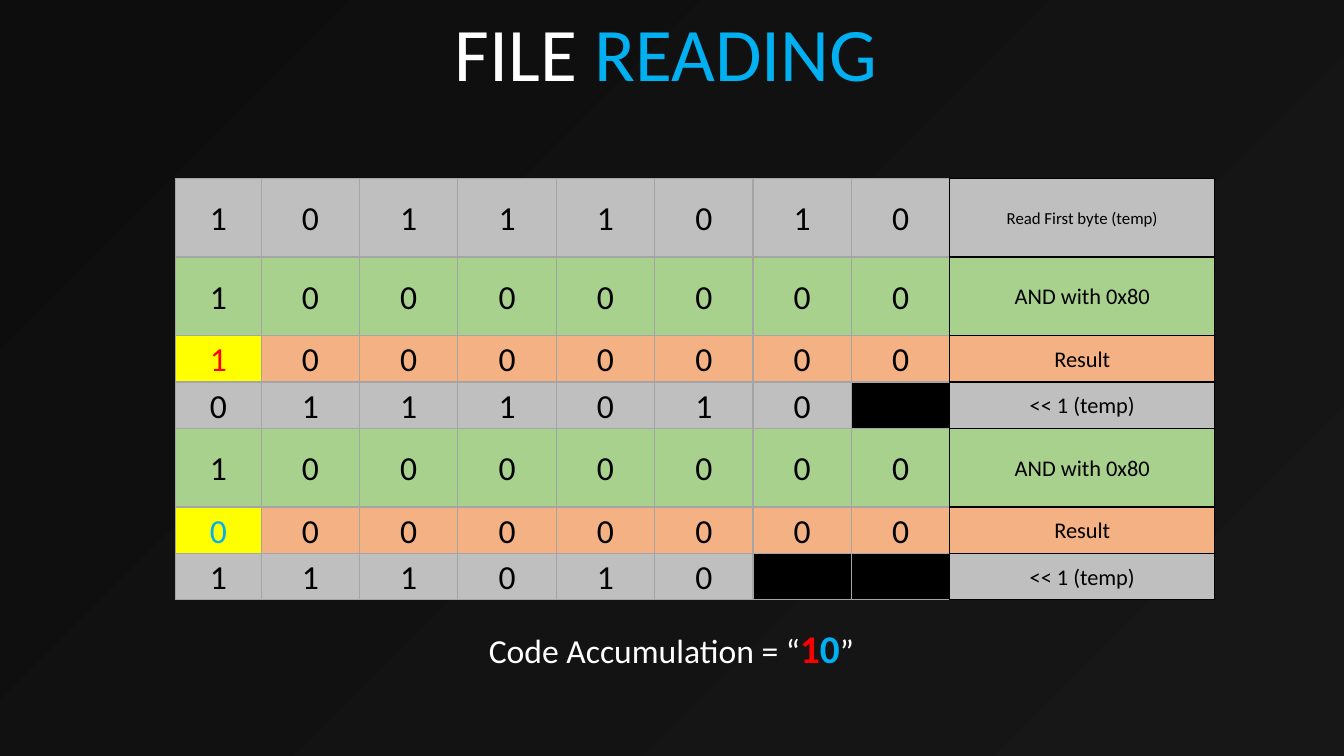
"""Build the FILE READING slide with its bit-by-bit decoding table."""
from dataclasses import dataclass
from typing import Any, Optional

from lxml.etree import SubElement
from pptx import Presentation
from pptx.dml.color import RGBColor
from pptx.enum.text import MSO_ANCHOR, MSO_AUTO_SIZE, PP_ALIGN
from pptx.oxml.ns import qn
from pptx.util import Inches, Pt

WHITE = RGBColor(0xFF, 0xFF, 0xFF)
BLACK = RGBColor(0x00, 0x00, 0x00)
BLUE = RGBColor(0x00, 0xB0, 0xF0)
RED = RGBColor(0xFF, 0x00, 0x00)
YELLOW = RGBColor(0xFF, 0xFF, 0x00)
SILVER = RGBColor(0xBF, 0xBF, 0xBF)
GREEN = RGBColor(0xA9, 0xD1, 0x8E)
ORANGE = RGBColor(0xF4, 0xB1, 0x83)
BORDER_GRAY = RGBColor(0xA5, 0xA5, 0xA5)
GLOW = RGBColor(0x18, 0x17, 0x17)
NIGHT = RGBColor(0x0D, 0x0D, 0x0D)

BIT_COUNT = 8
TALL, SHORT = 0.78, 0.46
COLUMN_WIDTHS = [0.85] + [6.83 / 7] * 7 + [2.63]


@dataclass
class TextPiece:
    text: str
    size: int
    color: RGBColor
    bold: bool = False


@dataclass
class BitRow:
    bits: str
    label: str
    fill: RGBColor
    height: float
    label_size: int = 16
    result_color: Optional[RGBColor] = None


BIT_ROWS = [
    BitRow("10111010", "Read First byte (temp)", SILVER, TALL, label_size=12),
    BitRow("10000000", "AND with 0x80", GREEN, TALL),
    BitRow("10000000", "Result", ORANGE, SHORT, result_color=RED),
    BitRow("0111010", "<< 1 (temp)", SILVER, SHORT),
    BitRow("10000000", "AND with 0x80", GREEN, TALL),
    BitRow("00000000", "Result", ORANGE, SHORT, result_color=BLUE),
    BitRow("111010", "<< 1 (temp)", SILVER, SHORT),
]
TITLE = [TextPiece("FILE ", 54, WHITE), TextPiece("READING", 54, BLUE)]
ACCUMULATION = [
    TextPiece("Code Accumulation = “", 24, WHITE),
    TextPiece("1", 28, RED, True),
    TextPiece("0", 28, BLUE, True),
    TextPiece("”", 24, WHITE),
]


def apply_format(target: Any, values: dict[str, Any]) -> None:
    """Set each named attribute of the target."""
    for name, value in values.items():
        setattr(target, name, value)


def write_pieces(paragraph: Any, pieces: list[TextPiece]) -> None:
    """Add the text pieces as runs."""
    for piece in pieces:
        run = paragraph.add_run()
        run.text = piece.text
        apply_format(run.font, {"name": "Calibri", "size": Pt(piece.size), "bold": piece.bold})
        run.font.color.rgb = piece.color


def paint_background(slide: Any) -> None:
    """Fill the background with a radial glow from the lower right corner."""
    fill = slide.background.fill
    fill.gradient()
    for stop, color in zip(fill.gradient_stops, (GLOW, NIGHT)):
        stop.color.rgb = color
    gradient = slide.element.find(".//" + qn("a:gradFill"))
    gradient.remove(gradient.find(qn("a:lin")))
    radial = SubElement(gradient, qn("a:path"), path="circle")
    SubElement(radial, qn("a:fillToRect"), l="100000", t="100000")


def add_title(slide: Any) -> None:
    """Place and write the title."""
    title = slide.shapes.title
    apply_format(title, {"left": Inches(4.41), "top": Inches(0.01),
                         "width": Inches(4.51), "height": Inches(1.92)})
    apply_format(title.text_frame, {"vertical_anchor": MSO_ANCHOR.TOP, "word_wrap": True,
                                    "auto_size": MSO_AUTO_SIZE.NONE})
    paragraph = title.text_frame.paragraphs[0]
    apply_format(paragraph, {"alignment": PP_ALIGN.LEFT, "line_spacing": 1.0})
    write_pieces(paragraph, TITLE)


def set_borders(cell: Any, colors: dict[str, RGBColor]) -> None:
    """Draw one-point borders on the sides of a cell."""
    properties = cell._tc.get_or_add_tcPr()
    for side, color in colors.items():
        line = SubElement(properties, qn(f"a:ln{side}"), w=str(Pt(1)))
        solid = SubElement(line, qn("a:solidFill"))
        SubElement(solid, qn("a:srgbClr"), val=str(color))


def fill_cell(cell: Any, column: int, row: BitRow) -> None:
    """Write and format one cell of a bit row."""
    is_label = column == BIT_COUNT
    is_result = column == 0 and row.result_color is not None
    is_empty = len(row.bits) <= column < BIT_COUNT
    colors = dict.fromkeys("LRTB", BLACK if is_label else BORDER_GRAY)
    if column == BIT_COUNT - 1:
        colors["R"] = BLACK
    set_borders(cell, colors)
    cell.fill.solid()
    cell.fill.fore_color.rgb = BLACK if is_empty else YELLOW if is_result else row.fill
    apply_format(cell, {"margin_left": Inches(0.07), "margin_right": Inches(0.07),
                        "margin_top": 0, "margin_bottom": 0,
                        "vertical_anchor": MSO_ANCHOR.MIDDLE})
    if is_empty:
        return
    paragraph = cell.text_frame.paragraphs[0]
    apply_format(paragraph, {"alignment": PP_ALIGN.CENTER, "line_spacing": 1.07})
    text = row.label if is_label else row.bits[column]
    size = row.label_size if is_label else 24
    write_pieces(paragraph, [TextPiece(text, size, row.result_color if is_result else BLACK)])


def add_bit_table(slide: Any) -> None:
    """Add the table of bit operations."""
    frame = slide.shapes.add_table(
        len(BIT_ROWS), len(COLUMN_WIDTHS), Inches(1.74), Inches(1.77),
        Inches(sum(COLUMN_WIDTHS)), Inches(sum(row.height for row in BIT_ROWS)))
    table = frame.table
    apply_format(table, {"first_row": False, "horz_banding": False})
    for column, width in zip(table.columns, COLUMN_WIDTHS):
        column.width = Inches(width)
    for row_index, row in enumerate(BIT_ROWS):
        table.rows[row_index].height = Inches(row.height)
        for column_index in range(len(COLUMN_WIDTHS)):
            fill_cell(table.cell(row_index, column_index), column_index, row)


def add_accumulation(slide: Any) -> None:
    """Add the accumulated code below the table."""
    box = slide.shapes.add_textbox(Inches(4.75), Inches(6.14), Inches(3.83), Inches(0.57))
    apply_format(box.text_frame, {"word_wrap": False,
                                  "auto_size": MSO_AUTO_SIZE.SHAPE_TO_FIT_TEXT})
    write_pieces(box.text_frame.paragraphs[0], ACCUMULATION)


def main() -> None:
    """Build and save the presentation."""
    presentation = Presentation()
    apply_format(presentation, {"slide_width": Inches(13.33), "slide_height": Inches(7.5)})
    slide = presentation.slides.add_slide(presentation.slide_layouts[5])
    paint_background(slide)
    add_title(slide)
    add_bit_table(slide)
    add_accumulation(slide)
    presentation.save("out.pptx")


if __name__ == "__main__":
    main()
